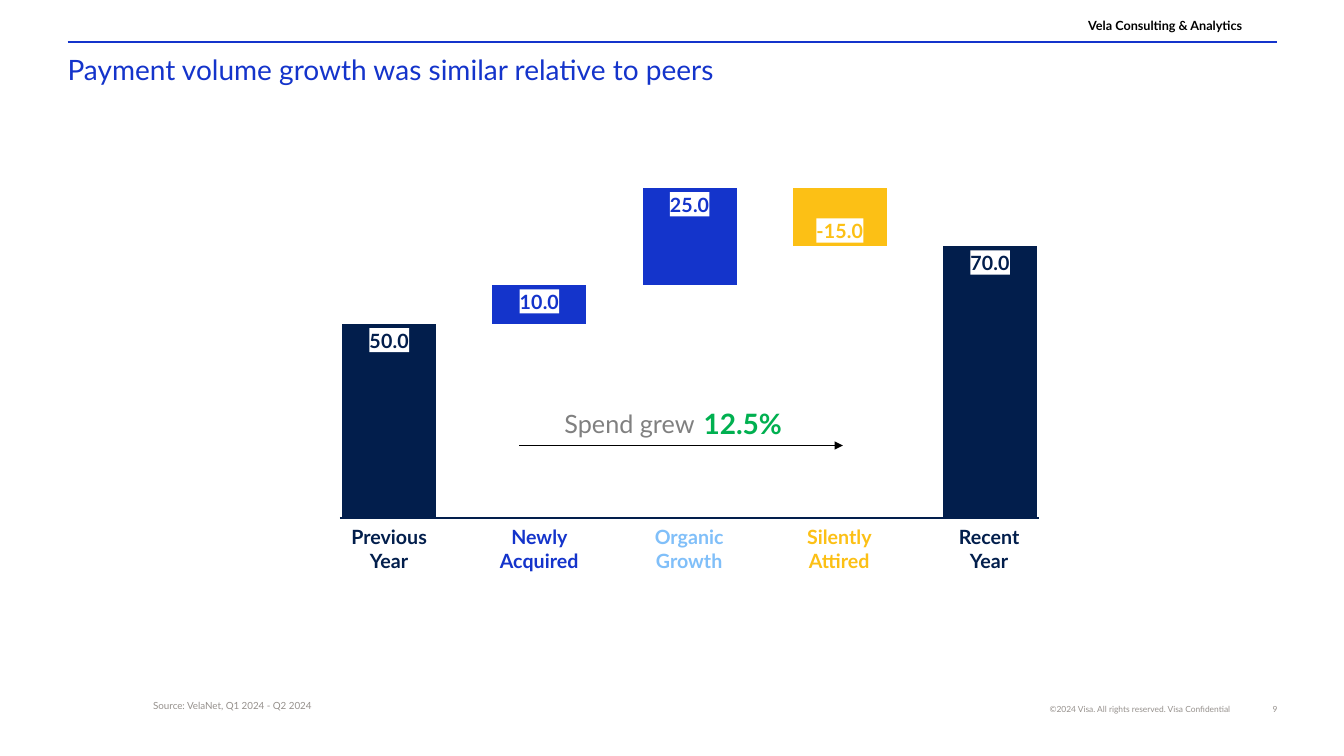
from lxml import etree
from pptx import Presentation
from pptx.chart.data import CategoryChartData
from pptx.dml.color import RGBColor
from pptx.enum.chart import XL_CHART_TYPE as ChartType, XL_LABEL_POSITION as LabelPosition
from pptx.enum.shapes import MSO_CONNECTOR as Connector
from pptx.enum.text import MSO_ANCHOR as Anchor, MSO_AUTO_SIZE as AutoSize, PP_ALIGN as Align
from pptx.oxml import parse_xml
from pptx.oxml.ns import nsdecls, qn
from pptx.util import Inches, Pt

FONT = "Lato"
NAVY = RGBColor(0x02, 0x1E, 0x4C)
BLUE = RGBColor(0x14, 0x34, 0xCB)
SKY = RGBColor(0x80, 0xBF, 0xF9)
YELLOW = RGBColor(0xFC, 0xC0, 0x15)
GREEN = RGBColor(0x00, 0xB0, 0x50)
GRAY = RGBColor(0x80, 0x80, 0x80)
FOOTER_GRAY = RGBColor(0x96, 0x91, 0x8D)
BLACK = RGBColor(0, 0, 0)

WIDTH, HEIGHT = Inches(13.33), Inches(7.5)
BARS_LEFT, BARS_RIGHT = 25.28, 77.27
BAR_PITCH = 11.16
BAR_NAMES = [
    ("Previous Year", NAVY),
    ("Newly Acquired", BLUE),
    ("Organic Growth", SKY),
    ("Silently Attired", YELLOW),
    ("Recent Year", NAVY),
]
WATERFALL = [
    ("Series 1", (50, 0, 0, 0, 70), NAVY, LabelPosition.INSIDE_END, "#,##0.0"),
    ("Series 2", (0, 50, 60, 70, 0), None, None, None),
    ("Series 3", (0, 10, 25, 0, 0), BLUE, LabelPosition.INSIDE_END, "#,##0.0"),
    ("Series 4", (0, 0, 0, 15, 0), YELLOW, LabelPosition.INSIDE_BASE, "-#,##0.0"),
]


def place(left, top, width, height):
    """Turn percentages of the slide into a position and size."""
    return (int(WIDTH * left / 100), int(HEIGHT * top / 100),
            int(WIDTH * width / 100), int(HEIGHT * height / 100))


def style_font(font, size, color, bold=False):
    """Apply the slide's typeface with a size, colour and weight."""
    font.name, font.size, font.bold = FONT, Pt(size), bold
    font.color.rgb = color


def set_margins(frame, bottom=0):
    """Clear the inner margins, keeping an optional bottom one."""
    frame.margin_left = frame.margin_top = frame.margin_right = 0
    frame.margin_bottom = Inches(bottom)


def add_text(slide, box, text, size, color, bold=False, align=Align.LEFT,
             anchor=Anchor.TOP, inset=True):
    """Add a wrapped, one-paragraph text box."""
    frame = slide.shapes.add_textbox(*place(*box)).text_frame
    frame.word_wrap = True
    frame.vertical_anchor = anchor
    if not inset:
        set_margins(frame)
    paragraph = frame.paragraphs[0]
    paragraph.text, paragraph.alignment = text, align
    style_font(paragraph.font, size, color, bold)
    return paragraph


def add_rule(slide, left, right, top, color, weight, arrow=False):
    """Add a horizontal line, optionally ending in an arrowhead."""
    x, y, length, _ = place(left, top, right - left, 0)
    rule = slide.shapes.add_connector(Connector.STRAIGHT, x, y, x + length, y)
    rule.line.color.rgb, rule.line.width = color, Pt(weight)
    if arrow:
        etree.SubElement(rule.line._get_or_add_ln(), qn("a:tailEnd"), type="triangle")
    etree.SubElement(rule._element.spPr, qn("a:effectLst"))


def add_title(slide, text):
    """Fill and format the title placeholder."""
    title = slide.shapes.title
    title.left, title.top, title.width, title.height = place(5.03, 6.93, 89.87, 7.73)
    frame = title.text_frame
    frame.text = text
    frame.auto_size, frame.vertical_anchor = AutoSize.NONE, Anchor.TOP
    set_margins(frame, bottom=0.1)
    frame.paragraphs[0].alignment = Align.LEFT
    style_font(frame.paragraphs[0].font, 20, BLUE)


def label_series(series, values, color, position, number_format):
    """Show white-backed labels on the bars that have a height."""
    labels = series.data_labels
    labels.show_value, labels.position = True, position
    labels.number_format, labels.number_format_is_linked = number_format, False
    style_font(labels.font, 14, color, bold=True)
    element = labels._element
    element.find(qn("c:numFmt")).addnext(parse_xml(
        f'<c:spPr {nsdecls("c", "a")}><a:solidFill><a:srgbClr val="FFFFFF"/>'
        '</a:solidFill></c:spPr>'))
    empty_points = [index for index, value in enumerate(values) if value == 0]
    for order, index in enumerate(empty_points):
        element.insert(order, parse_xml(
            f'<c:dLbl {nsdecls("c")}><c:idx val="{index}"/><c:delete val="1"/></c:dLbl>'))


def fix_plot_area(chart, x, y, w, h):
    """Set the inner plot area as shares of the chart."""
    plot_area = chart._chartSpace.chart.plotArea
    for layout in plot_area.findall(qn("c:layout")):
        plot_area.remove(layout)
    sizes = "".join(f'<c:{name} val="{value}"/>'
                    for name, value in zip("xywh", (x, y, w, h)))
    plot_area.insert(0, parse_xml(
        f'<c:layout {nsdecls("c")}><c:manualLayout><c:layoutTarget val="inner"/>'
        f'<c:xMode val="edge"/><c:yMode val="edge"/>{sizes}</c:manualLayout></c:layout>'))


def add_waterfall(slide):
    """Add the stacked column chart with an invisible base series."""
    data = CategoryChartData()
    data.categories = ["1", "2", "3", "4", "5"]
    for name, values, *_ in WATERFALL:
        data.add_series(name, values)
    chart = slide.shapes.add_chart(
        ChartType.COLUMN_STACKED, *place(8.4, 19.2, 85.07, 54), data).chart
    chart.has_legend = chart.has_title = False
    style_font(chart.font, 10, BLACK)
    chart.value_axis.minimum_scale, chart.value_axis.maximum_scale = 0, 90
    chart.value_axis.has_major_gridlines = False
    chart.value_axis.visible = chart.category_axis.visible = False
    plot = chart.plots[0]
    plot.gap_width, plot.overlap, plot.vary_by_categories = 60, 100, False
    for series, (_, values, color, position, number_format) in zip(plot.series, WATERFALL):
        if color is None:
            series.format.fill.background()
            continue
        series.format.fill.solid()
        series.format.fill.fore_color.rgb = color
        label_series(series, values, color, position, number_format)
    fix_plot_area(chart, 0.176, 0.058, 0.657, 0.856)


def main():
    """Build the slide and save it."""
    presentation = Presentation()
    presentation.slide_width, presentation.slide_height = WIDTH, HEIGHT
    slide = presentation.slides.add_slide(presentation.slide_layouts[5])

    add_rule(slide, 5.03, 95.05, 5.6, BLUE, 1.5)
    add_text(slide, (74.79, 93.2, 16.73, 1.33),
             "©2024 Visa. All rights reserved. Visa Confidential", 6, FOOTER_GRAY,
             align=Align.RIGHT, anchor=Anchor.BOTTOM, inset=False)
    add_text(slide, (91.82, 93.2, 3.23, 1.33), "9", 6, FOOTER_GRAY,
             align=Align.RIGHT, inset=False)
    header = add_text(slide, (77.87, 2.53, 14.55, 1.87), "Vela Consulting & Analytics",
                      9, BLACK, True, Align.RIGHT, Anchor.BOTTOM, inset=False)
    header.line_spacing = 0.9
    add_title(slide, "Payment volume growth was similar relative to peers")

    add_waterfall(slide)
    add_rule(slide, 38.63, 62.72, 58.93, BLACK, 1, arrow=True)
    add_text(slide, (51.61, 53.07, 12.38, 5.87), "12.5%", 20, GREEN, True)
    add_text(slide, (41.26, 53.33, 14.25, 5.33), "Spend grew", 18, GRAY)
    for index, (name, color) in enumerate(BAR_NAMES):
        add_text(slide, (BARS_LEFT + index * BAR_PITCH, 68.8, 7.35, 7.6),
                 name, 14, color, True, Align.CENTER)
    add_rule(slide, BARS_LEFT, BARS_RIGHT, 68.53, NAVY, 1)
    add_text(slide, (11.4, 92.53, 52.21, 3.87), "Source: VelaNet, Q1 2024 - Q2 2024",
             7, FOOTER_GRAY, inset=False)
    presentation.save("out.pptx")


if __name__ == "__main__":
    main()
